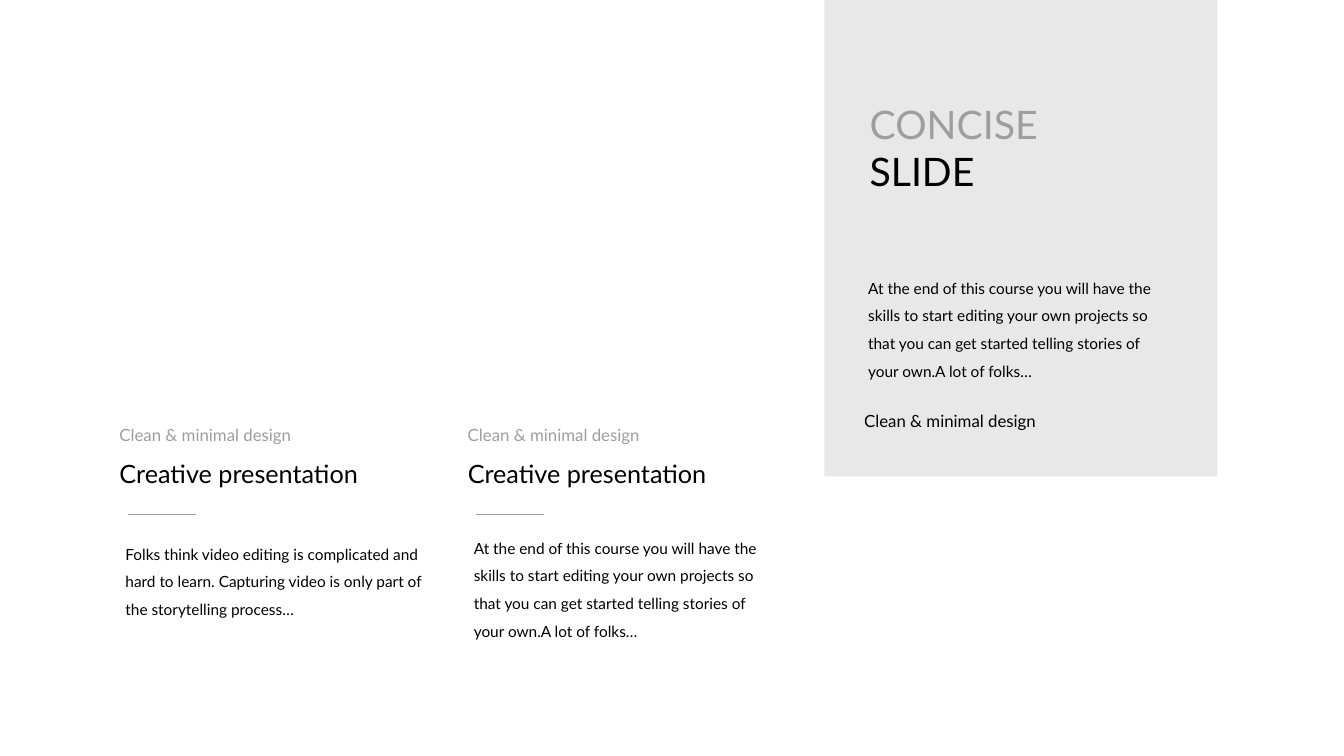
import pptx
import pptx.util
import pptx.dml.color
import pptx.enum.shapes
import pptx.enum.text
import lxml.etree

deck = pptx.Presentation()
deck.slide_width = pptx.util.Inches(26.66)
deck.slide_height = pptx.util.Inches(15)
slide = deck.slides.add_slide(deck.slide_layouts[5])
shapes = slide.shapes

# Grid of 100 columns by 100 rows
COL = deck.slide_width / 100
ROW = deck.slide_height / 100
GREY, BLACK, PANEL = "9E9E9E", "000000", "E8E8E8"
PAD = pptx.util.Inches(0.06)
FRAME = {
    "word_wrap": True,
    "auto_size": pptx.enum.text.MSO_AUTO_SIZE.SHAPE_TO_FIT_TEXT,
    "vertical_anchor": pptx.enum.text.MSO_ANCHOR.MIDDLE,
    "margin_left": PAD, "margin_right": PAD,
    "margin_top": PAD, "margin_bottom": PAD,
}
TAG = {"wide": 14.33, "high": 3.4, "size": 24}
HEAD = {"wide": 19.43, "high": 4.73, "size": 36}
BODY = {"wide": 23.11, "high": 15.4, "size": 22, "gap": 1.5}
TITLE = {"wide": 21.46, "high": 6.93, "size": 56}

DESIGN = "Clean & minimal design"
COURSE = ("At the end of this course you will have the skills to start editing "
          "your own projects so that you can get started telling stories of "
          "your own.A lot of folks…")
FOLKS = ("Folks think video editing is complicated and hard to learn. "
         "Capturing video is only part of the storytelling process…")


def tint(code):
    return pptx.dml.color.RGBColor.from_string(code)


def write(left, top, look, parts, box=None):
    """Fill a box, new unless given, with (text, colour) parts on separate lines."""
    box = box or shapes.add_textbox(0, 0, 0, 0)
    place = {"left": left * COL, "top": top * ROW,
             "width": look["wide"] * COL, "height": look["high"] * ROW}
    for key, value in place.items():
        setattr(box, key, round(value))
    for key, value in FRAME.items():
        setattr(box.text_frame, key, value)
    para = box.text_frame.paragraphs[0]
    para.alignment = pptx.enum.text.PP_ALIGN.LEFT
    para.line_spacing = look.get("gap", 1.0)
    for index, (text, code) in enumerate(parts):
        if index:
            para.add_line_break()
        run = para.add_run()
        run.text = text
        run.font.name = "Lato"
        run.font.size = pptx.util.Pt(look["size"])
        run.font.color.rgb = tint(code)


# Grey panel with the title
panel = shapes.add_shape(pptx.enum.shapes.MSO_SHAPE.RECTANGLE, round(61.33 * COL), 0,
                         round(29.26 * COL), round(63 * ROW))
panel.shadow.inherit = False
panel.fill.solid()
panel.fill.fore_color.rgb = tint(PANEL)
panel.line.fill.background()

title = shapes.title
panel.element.addnext(title.element)  # bring the title in front of the panel
write(64.48, 16.07, TITLE, [("CONCISE", GREY), ("SLIDE", BLACK)], title)
write(64.37, 35.27, BODY, [(COURSE, BLACK)])
write(64.07, 54, TAG, [(DESIGN, BLACK)])

# Two text columns
columns = [(FOLKS, 70.47, 11.73), (COURSE, 69.67, BODY["high"])]
for index, (text, top, high) in enumerate(columns):
    left = 8.66 + 25.92 * index
    write(left, 55.8, TAG, [(DESIGN, GREY)])
    write(left, 60.27, HEAD, [("Creative presentation", BLACK)])
    write(left + 0.45, top, BODY | {"high": high}, [(text, BLACK)])

    start, level = left + 0.87, round(68 * ROW)
    rule = shapes.add_connector(pptx.enum.shapes.MSO_CONNECTOR.STRAIGHT,
                                round(start * COL), level,
                                round((start + 5.06) * COL), level)
    rule.line.color.rgb = tint(GREY)
    rule.line.width = pptx.util.Pt(1)
    lxml.etree.SubElement(rule.element.spPr, pptx.oxml.ns.qn("a:effectLst"))

deck.save("out.pptx")
